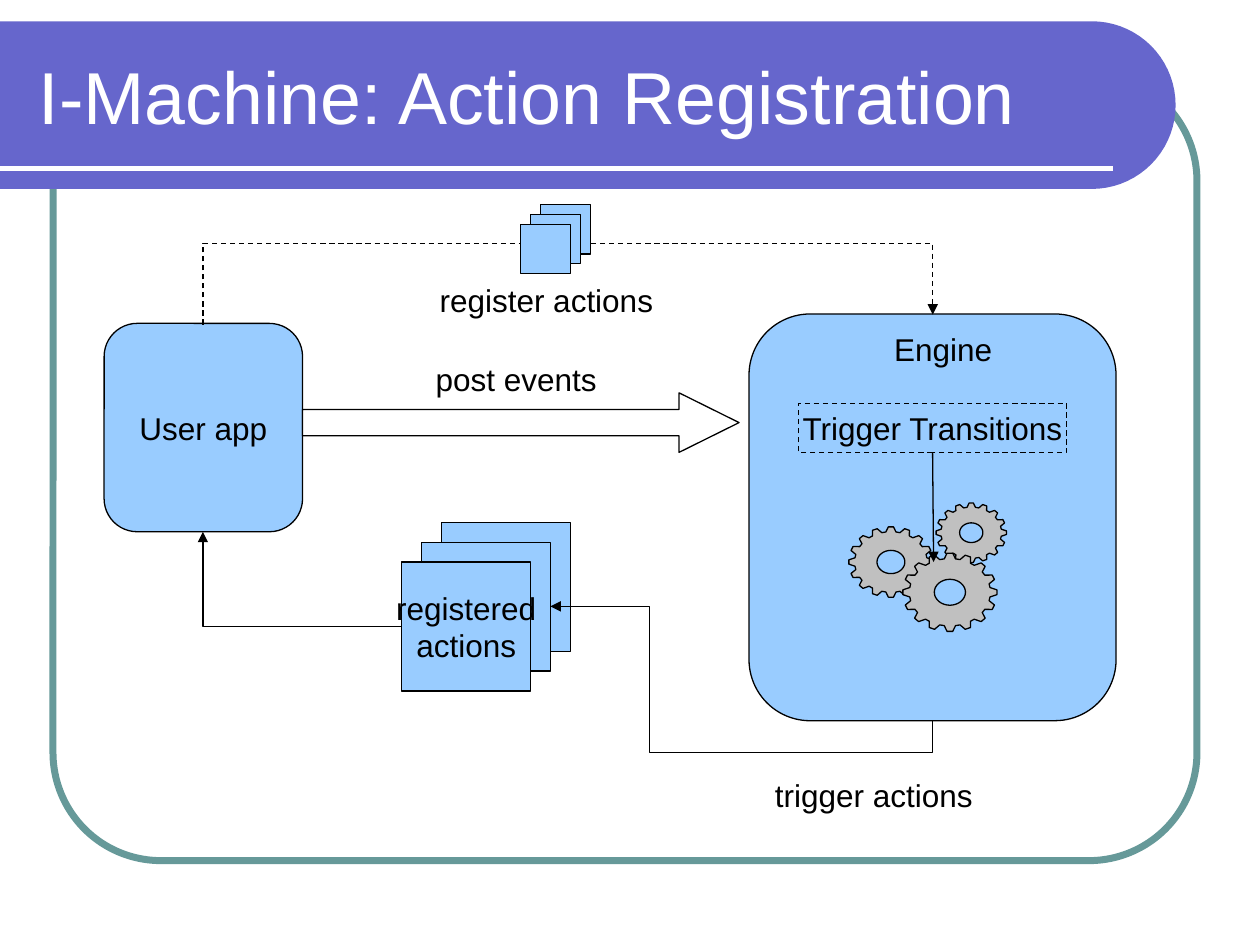
from math import cos, radians, sin

from lxml import etree
from pptx import Presentation
from pptx.dml.color import RGBColor
from pptx.enum.dml import MSO_LINE
from pptx.enum.shapes import MSO_CONNECTOR, MSO_SHAPE
from pptx.enum.text import MSO_ANCHOR, MSO_AUTO_SIZE, PP_ALIGN
from pptx.oxml.ns import qn
from pptx.util import Cm, Pt

RECTANGLE = MSO_SHAPE.RECTANGLE
ROUNDED = MSO_SHAPE.ROUNDED_RECTANGLE
RIGHT_ARROW = MSO_SHAPE.RIGHT_ARROW
STRAIGHT = MSO_CONNECTOR.STRAIGHT
ELBOW = MSO_CONNECTOR.ELBOW
DASH = MSO_LINE.DASH
MIDDLE = MSO_ANCHOR.MIDDLE
LEFT, CENTER = PP_ALIGN.LEFT, PP_ALIGN.CENTER
NO_AUTOFIT = MSO_AUTO_SIZE.NONE

FONT = "Arial"
BLACK, WHITE = "000000", "FFFFFF"
VIOLET, TEAL, SKY, GRAY = "6666CC", "669999", "99CCFF", "C0C0C0"
TEETH = 16
TOOTH_PROFILE = ((-8, 0.86), (-3.5, 1), (3.5, 1), (8, 0.86))
HOLE_RATIO = 0.33


def color(value):
    """Return the colour for a hex string."""
    return RGBColor.from_string(value)


def style(shape, fill=None, line=BLACK, width=0.75):
    """Set fill and outline, and drop the shadow."""
    shape.shadow.inherit = False
    if fill:
        shape.fill.solid()
        shape.fill.fore_color.rgb = color(fill)
    else:
        shape.fill.background()
    if line:
        shape.line.color.rgb = color(line)
        shape.line.width = Pt(width)
    else:
        shape.line.fill.background()


def write(shape, lines, size=18, font_color=BLACK, alignment=CENTER, wrap=False):
    """Write one paragraph per line, anchored in the middle."""
    frame = shape.text_frame
    frame.auto_size = NO_AUTOFIT
    frame.word_wrap = wrap
    frame.vertical_anchor = MIDDLE
    for index, line in enumerate(lines):
        paragraph = frame.add_paragraph() if index else frame.paragraphs[0]
        paragraph.alignment = alignment
        run = paragraph.add_run()
        run.text = line
        run.font.name = FONT
        run.font.size = Pt(size)
        run.font.color.rgb = color(font_color)


def add_box(slide, kind, box, fill=None, line=BLACK, width=0.75, adjustments=()):
    """Add a preset shape at a box given in centimetres."""
    shape = slide.shapes.add_shape(kind, *map(Cm, box))
    for index, value in enumerate(adjustments):
        shape.adjustments[index] = value
    style(shape, fill, line, width)
    return shape


def add_label(slide, text, left, top):
    """Add a centred caption of the common size."""
    write(slide.shapes.add_textbox(Cm(left), Cm(top), Cm(5.41), Cm(1)), [text])


def add_stack(slide, left, top, size, step):
    """Add three overlapping squares and return the front one."""
    for index in range(3):
        offset = index * step
        front = add_box(slide, RECTANGLE, (left - offset, top + offset, size, size), SKY)
    return front


def ellipse_point(center, radii, angle, ratio=1):
    """Return the point at an angle in degrees clockwise from the top."""
    turn = radians(angle)
    return (Cm(center[0] + ratio * radii[0] * sin(turn)),
            Cm(center[1] - ratio * radii[1] * cos(turn)))


def add_outline(slide, contours, fill, line=BLACK):
    """Add a freeform made of closed contours."""
    builder = slide.shapes.build_freeform(*contours[0][0])
    for index, points in enumerate(contours):
        if index:
            builder.move_to(*points[0])
        builder.add_line_segments(points[1:], close=True)
    style(builder.convert_to_shape(), fill, line)


def add_gear(slide, center, radii):
    """Add a toothed wheel with a hole."""
    rim = [ellipse_point(center, radii, tooth * 360 / TEETH + angle, ratio)
           for tooth in range(TEETH) for angle, ratio in TOOTH_PROFILE]
    hole = [ellipse_point(center, radii, angle, HOLE_RATIO) for angle in range(360, 0, -8)]
    add_outline(slide, [rim, hole], GRAY)


def add_line(slide, kind, start, end, line=BLACK, width=0.75, arrow=True, dash=None):
    """Add a connector, with an arrowhead at its end if wanted."""
    connector = slide.shapes.add_connector(kind, *map(Cm, start + end))
    connector.line.color.rgb = color(line)
    connector.line.width = Pt(width)
    if dash:
        connector.line.dash_style = dash
    properties = connector.element.spPr
    if arrow:
        etree.SubElement(properties.find(qn("a:ln")), qn("a:tailEnd"), type="triangle")
    etree.SubElement(properties, qn("a:effectLst"))
    return connector


def add_elbow(slide, start, end, preset, rotation, adjustments=(), dash=None):
    """Add a bent arrow from its unrotated ends, preset and rotation."""
    properties = add_line(slide, ELBOW, start, end, dash=dash).element.spPr
    properties.find(qn("a:xfrm")).set("rot", str(rotation * 60000))
    geometry = properties.find(qn("a:prstGeom"))
    geometry.set("prst", preset)
    guides = geometry.find(qn("a:avLst"))
    for index, value in enumerate(adjustments, 1):
        etree.SubElement(guides, qn("a:gd"), name=f"adj{index}",
                         fmla=f"val {round(value * 100000)}")


def add_banner(slide):
    """Draw the frame, the rounded banner and its rule."""
    add_box(slide, ROUNDED, (1.07, 1.47, 23.06, 15.88), None, TEAL, 4, [0.137])
    cap = [ellipse_point((22.01, 2.12), (1.69, 1.69), angle) for angle in range(0, 181, 5)]
    add_outline(slide, [[(0, cap[0][1]), *cap, (0, cap[-1][1])]], VIOLET, None)
    add_line(slide, STRAIGHT, (0, 3.39), (22.43, 3.39), WHITE, 3, arrow=False)


def add_title(slide, text):
    """Fill the title placeholder and bring it above the banner."""
    title = slide.shapes.title
    title.left, title.top, title.width, title.height = map(Cm, (0.53, 0.64, 22.28, 2.54))
    write(title, [text], 42, WHITE, LEFT, True)
    title.element.getparent().append(title.element)


def main():
    """Build the slide and save it."""
    presentation = Presentation()
    presentation.slide_width, presentation.slide_height = Cm(25.4), Cm(19.05)
    slide = presentation.slides.add_slide(presentation.slide_layouts[5])

    add_banner(slide)
    write(add_stack(slide, 8.9, 10.53, 2.6, 0.4), ["registered", "actions"])
    add_title(slide, "I-Machine: Action Registration")

    add_box(slide, ROUNDED, (15.1, 6.33, 7.4, 8.2), SKY)
    add_gear(slide, (19.58, 10.74), (0.71, 0.6))
    add_gear(slide, (17.96, 11.33), (0.85, 0.71))
    add_gear(slide, (19.15, 11.94), (0.95, 0.79))

    add_elbow(slide, (13.79, 17.23), (16.1, 9.53), "bentConnector4", 270, (-0.276, 0.741))
    add_elbow(slide, (4.09, 10.72), (8.1, 12.63), "bentConnector2", 180)
    write(add_box(slide, ROUNDED, (2.1, 6.52, 4, 4.2), SKY), ["User app"])
    add_label(slide, "post events", 7.7, 7.14)
    add_box(slide, RIGHT_ARROW, (6.1, 7.92, 8.8, 1.2), WHITE, adjustments=(0.443, 1.008))

    add_label(slide, "Engine", 16.31, 6.53)
    trigger = add_box(slide, RECTANGLE, (16.1, 8.13, 5.4, 1))
    trigger.line.dash_style = DASH
    write(trigger, ["Trigger Transitions"])
    add_line(slide, STRAIGHT, (18.8, 9.13), (18.82, 11.33))

    add_elbow(slide, (11.55, 13.8), (11.35, -0.91), "bentConnector3", 90, (8.2,), DASH)
    add_label(slide, "register actions", 8.31, 5.54)
    add_stack(slide, 10.9, 4.12, 1, 0.2)
    add_label(slide, "trigger actions", 14.91, 15.52)
    presentation.save("out.pptx")


if __name__ == "__main__":
    main()
